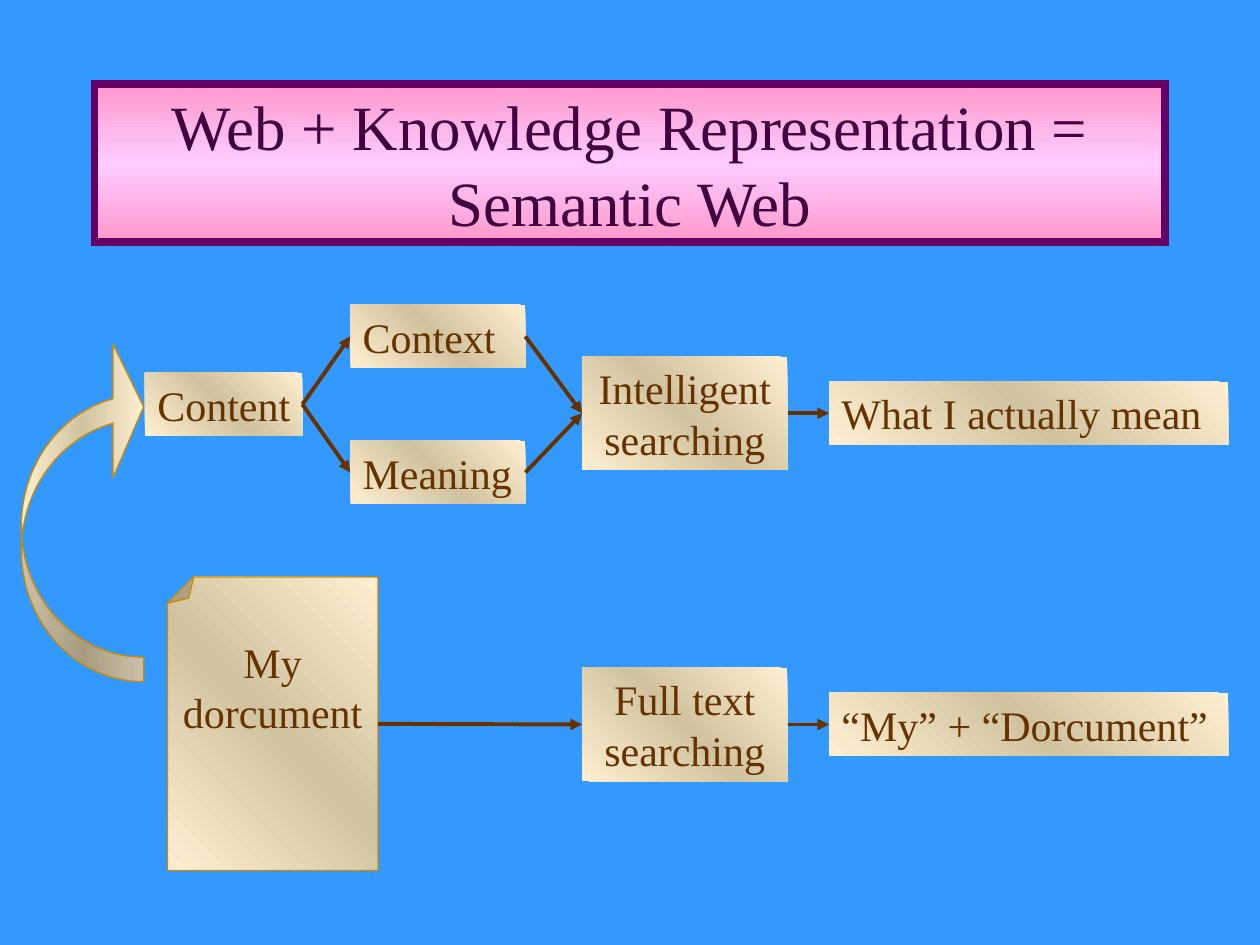
from lxml import etree
from pptx import Presentation
from pptx.dml.color import RGBColor
from pptx.enum.shapes import MSO_CONNECTOR, MSO_SHAPE
from pptx.enum.text import MSO_ANCHOR, PP_ALIGN
from pptx.oxml.ns import qn
from pptx.util import Inches, Pt

BLUE = RGBColor(0x33, 0x99, 0xFF)
PINK = RGBColor(0xFF, 0x99, 0xCC)
LILAC = RGBColor(0xFF, 0xCC, 0xFF)
PURPLE = RGBColor(0x66, 0x00, 0x66)
PLUM = RGBColor(0x40, 0x00, 0x40)
CREAM = RGBColor(0xFF, 0xEF, 0xD1)
SAND = RGBColor(0xD1, 0xC3, 0x9F)
GOLD = RGBColor(0xCE, 0x89, 0x00)
BROWN = RGBColor(0x66, 0x33, 0x00)
FONT = "Times New Roman"


def set_gradient(sp, edge, middle, angle):
    """Fill with a band running edge, middle, edge; angle is clockwise degrees."""
    sp.fill.gradient()
    grad = sp.fill._xPr.find(qn("a:gradFill"))
    for child in list(grad):
        grad.remove(child)
    stops = etree.SubElement(grad, qn("a:gsLst"))
    for percent, color in ((0, edge), (50, middle), (100, edge)):
        stop = etree.SubElement(stops, qn("a:gs"), pos=str(percent * 1000))
        etree.SubElement(stop, qn("a:srgbClr"), val=str(color))
    etree.SubElement(grad, qn("a:lin"), ang=str(angle * 60000), scaled="0")


def add_shape(slide, kind, box, edge=CREAM, middle=SAND, angle=135,
              line=None, line_width=0.75):
    sp = slide.shapes.add_shape(kind, *(Inches(v) for v in box))
    sp.shadow.inherit = False
    set_gradient(sp, edge, middle, angle)
    if line is None:
        sp.line.fill.background()
    else:
        sp.line.color.rgb = line
        sp.line.width = Pt(line_width)
    return sp


def add_text(sp, *lines, size=24, color=BROWN, align=PP_ALIGN.CENTER,
             anchor=MSO_ANCHOR.MIDDLE, wrap=True):
    tf = sp.text_frame
    tf.word_wrap = wrap
    tf.vertical_anchor = anchor
    for i, line in enumerate(lines):
        p = tf.paragraphs[0] if i == 0 else tf.add_paragraph()
        p.alignment = align
        r = p.add_run()
        r.text = line
        r.font.name = FONT
        r.font.size = Pt(size)
        r.font.color.rgb = color
    return tf


def flip(sp, *axes):
    for axis in axes:
        sp._element.spPr.find(qn("a:xfrm")).set("flip" + axis, "1")


def add_title(slide, box, text):
    sp = add_shape(slide, MSO_SHAPE.RECTANGLE, box, PINK, LILAC, 90, PURPLE, 4.5)
    etree.SubElement(sp.line._get_or_add_ln(), qn("a:miter"), lim="800000")
    add_text(sp, text, size=36, color=PLUM)


def add_step(slide, box, text, align=PP_ALIGN.LEFT):
    sp = add_shape(slide, MSO_SHAPE.RECTANGLE, box)
    tf = add_text(sp, text, align=align, anchor=MSO_ANCHOR.TOP)
    if align == PP_ALIGN.LEFT:
        tf.margin_right = 0
    return sp


def add_document(slide, box, *lines):
    """Page with its top left corner folded; the text is turned back upright."""
    sp = add_shape(slide, MSO_SHAPE.FOLDED_CORNER, box, line=GOLD)
    guides = sp._element.spPr.find(qn("a:prstGeom")).get_or_add_avLst()
    etree.SubElement(guides, qn("a:gd"), name="adj", fmla="val 12500")
    flip(sp, "H", "V")
    tf = add_text(sp, *lines, wrap=False)
    tf.margin_bottom = Inches(0.85)
    tf._txBody.bodyPr.set("rot", str(180 * 60000))
    return sp


def add_curved_arrow(slide, box):
    sp = add_shape(slide, MSO_SHAPE.CURVED_RIGHT_ARROW, box, angle=180, line=GOLD)
    for i, value in enumerate((0.2, 1.09, 0.25)):
        sp.adjustments[i] = value
    flip(sp, "V")


def add_arrow(slide, source, target):
    """Join the right side of source to the left side of target."""
    start = source.left + source.width, source.top + source.height // 2
    end = target.left, target.top + target.height // 2
    cx = slide.shapes.add_connector(MSO_CONNECTOR.STRAIGHT, *start, *end)
    if source.auto_shape_type == MSO_SHAPE.RECTANGLE:
        cx.begin_connect(source, 3)
    cx.end_connect(target, 1)
    cx.line.color.rgb = BROWN
    cx.line.width = Pt(2.25)
    etree.SubElement(cx.line._get_or_add_ln(), qn("a:tailEnd"), type="triangle")
    etree.SubElement(cx._element.spPr, qn("a:effectLst"))


def add_semantic_flow(slide, left, middle):
    """Top row: content to intelligent searching, centred on height middle."""
    content = add_step(slide, (left, middle - 0.32, 1.25, 0.5), "Content")
    context = add_step(slide, (left + 1.63, middle - 0.86, 1.39, 0.5), "Context")
    meaning = add_step(slide, (left + 1.63, middle + 0.22, 1.39, 0.5), "Meaning")
    search = add_search(slide, left + 3.47, middle,
                        "Intelligent searching", "What I actually mean")
    for source, target in ((content, context), (content, meaning),
                           (context, search), (meaning, search)):
        add_arrow(slide, source, target)


def add_search(slide, left, middle, method, outcome):
    search = add_step(slide, (left, middle - 0.45, 1.63, 0.9), method,
                      PP_ALIGN.CENTER)
    result = add_step(slide, (left + 1.96, middle - 0.25, 3.17, 0.5), outcome)
    add_arrow(slide, search, result)
    return search


def add_text_flow(slide, left, middle):
    """Bottom row: document to full text searching, centred on height middle."""
    document = add_document(slide, (left, middle - 1.17, 1.67, 2.33),
                            "My", "dorcument")
    search = add_search(slide, left + 3.29, middle,
                        "Full text searching", "“My” + “Dorcument”")
    add_arrow(slide, document, search)


def main():
    prs = Presentation()
    prs.slide_width, prs.slide_height = Inches(10), Inches(7.5)
    slide = prs.slides.add_slide(prs.slide_layouts[6])
    slide.background.fill.solid()
    slide.background.fill.fore_color.rgb = BLUE
    add_title(slide, (0.75, 0.67, 8.5, 1.25),
              "Web + Knowledge Representation = Semantic Web")
    add_curved_arrow(slide, (0.17, 2.7, 0.97, 2.71))
    add_semantic_flow(slide, 1.15, 3.28)
    add_text_flow(slide, 1.33, 5.75)
    prs.save("out.pptx")


if __name__ == "__main__":
    main()
